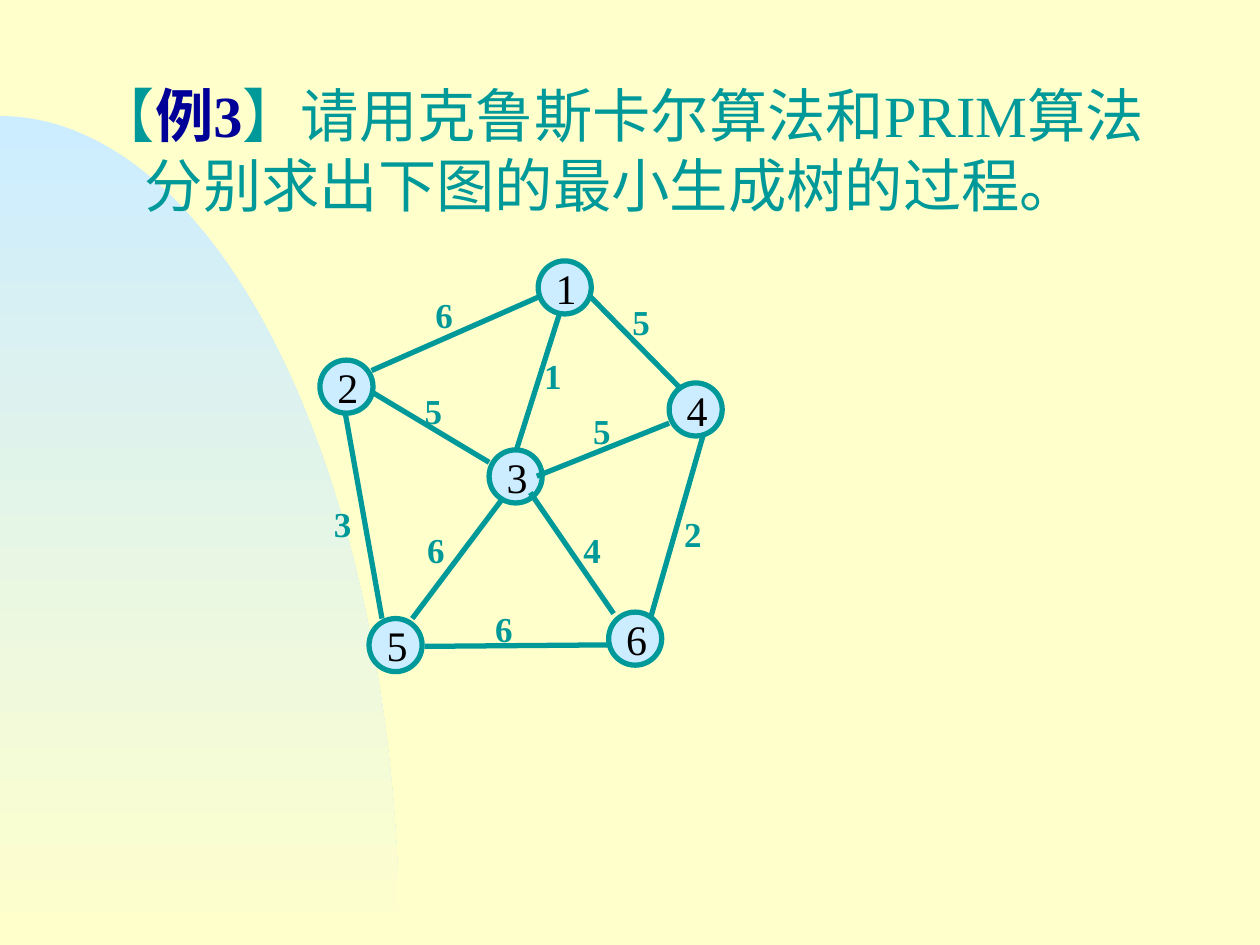
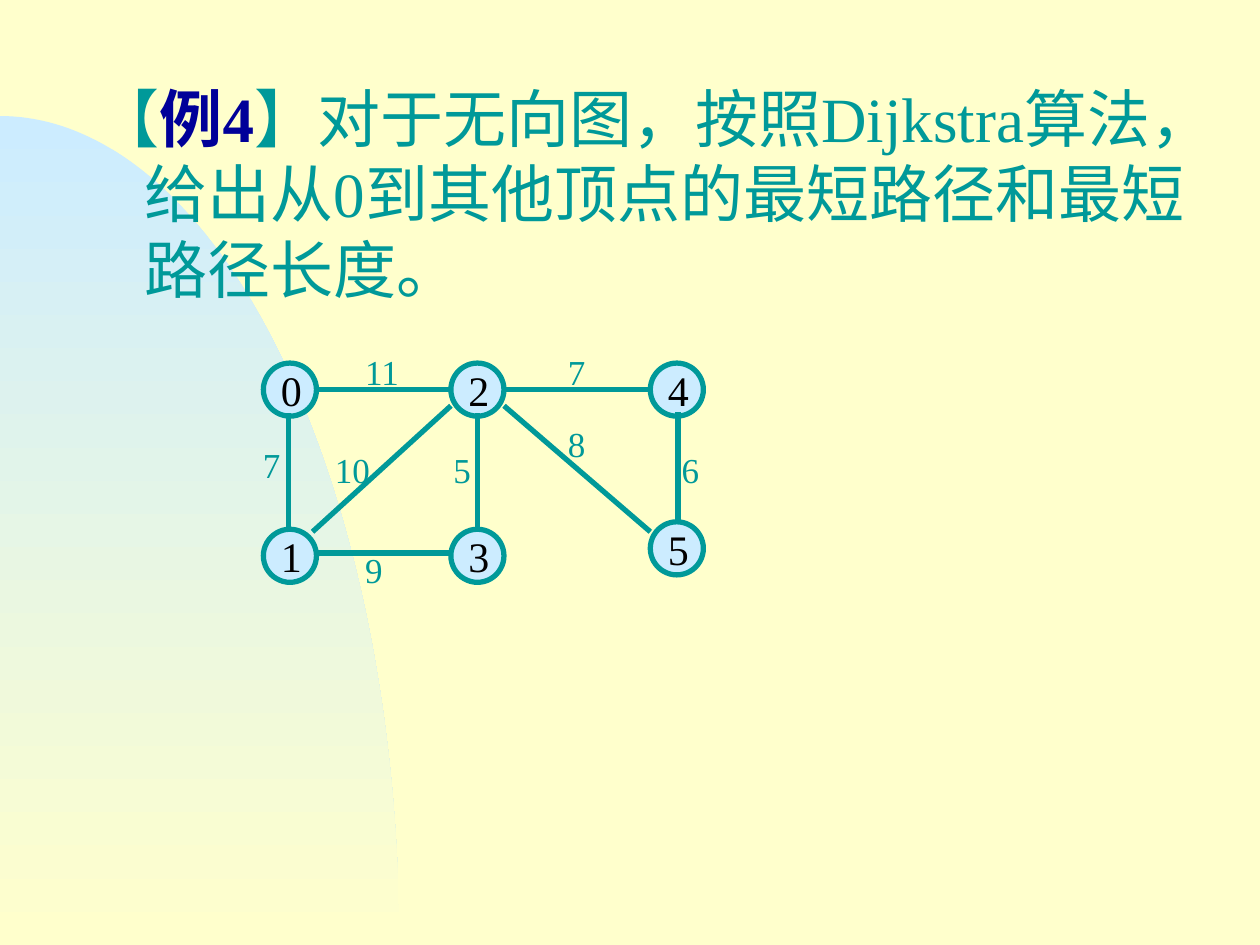
from collections import namedtuple
from math import cos, pi, sin

from lxml.etree import SubElement
from pptx import Presentation
from pptx.dml.color import RGBColor
from pptx.enum.shapes import MSO_CONNECTOR as Connector, MSO_SHAPE as Shape
from pptx.enum.text import MSO_ANCHOR as Anchor, PP_ALIGN as Align
from pptx.oxml.ns import qn
from pptx.util import Cm, Pt

CREAM, SKY, TEAL, NAVY, INK = "FFFFCC", "CCECFF", "009999", "000099", "010000"
SERIF, SANS = "Times New Roman", "Arial"
SLIDE_WIDTH, SLIDE_HEIGHT = 25.4, 19.05
NODE_SIZE = 1.07
LINE_WIDTH = 3
CURVE_WIDTH, CURVE_HEIGHT, CURVE_STEPS = 8.05, 16.71, 90

TEXT_MARGINS = {
    "margin_left": Cm(0.25), "margin_right": Cm(0.25),
    "margin_top": Cm(0.13), "margin_bottom": Cm(0.13), "word_wrap": True,
}
NODE_FRAME = {
    "margin_left": Cm(0.06), "margin_right": 0, "margin_top": 0,
    "margin_bottom": 0, "word_wrap": True, "vertical_anchor": Anchor.MIDDLE,
}

Edge = namedtuple("Edge", "start end weight label width", defaults=[None])

SPANNING_TREE_NODES = {
    "1": (10.85, 5.26), "2": (6.45, 7.26), "3": (9.86, 9.07),
    "4": (13.49, 7.72), "5": (7.44, 12.47), "6": (12.27, 12.34),
}
SPANNING_TREE_EDGES = [
    Edge((7.49, 7.47), (10.85, 5.99), "6", (8.53, 5.79)),
    Edge((7.49, 7.9), (9.86, 9.32), "5", (8.31, 7.72)),
    Edge((10.41, 9.07), (11.28, 6.32), "1", (10.72, 7.01)),
    Edge((13.69, 7.8), (11.91, 5.99), "5", (12.5, 5.92)),
    Edge((10.82, 9.6), (13.49, 8.53), "5", (11.71, 8.13)),
    Edge((14.17, 8.79), (13.11, 12.47), "2", (13.54, 10.21)),
    Edge((10.69, 9.93), (12.37, 12.37), "4", (11.51, 10.52)),
    Edge((12.27, 13), (8.56, 13.03), "6", (9.73, 12.12)),
    Edge((8.31, 12.47), (10.11, 10.08), "6", (8.36, 10.52)),
    Edge((6.96, 8.33), (7.7, 12.47), "3", (6.48, 10.01)),
]

SHORTEST_PATH_NODES = {
    "0": (5.31, 7.32), "2": (9.09, 7.32), "4": (13.11, 7.32),
    "1": (5.31, 10.67), "3": (9.09, 10.67), "5": (13.11, 10.52),
}
SHORTEST_PATH_EDGES = [
    Edge((6.35, 7.85), (9.09, 7.85), "11", (7.11, 6.93)),
    Edge((9.09, 8.18), (6.3, 10.72), "10", (6.5, 8.92)),
    Edge((5.82, 8.33), (5.82, 10.67), "7", (5.05, 8.81), 0.64),
    Edge((6.35, 11.15), (9.09, 11.15), "9", (7.11, 10.92)),
    Edge((9.63, 8.33), (9.63, 10.67), "5", (8.89, 8.92), 0.99),
    Edge((13.11, 7.85), (10.16, 7.85), "7", (11.2, 6.93)),
    Edge((10.16, 8.18), (13.11, 10.72), "8", (11.2, 8.38)),
    Edge((13.67, 8.31), (13.67, 10.52), "6", (13.49, 8.92)),
]


def color(hex_value):
    return RGBColor.from_string(hex_value)


def apply_format(target, values):
    for name, value in values.items():
        setattr(target, name, value)


def add_run(paragraph, text, size, hex_value, name=SERIF, bold=False):
    run = paragraph.add_run()
    run.text = text
    apply_format(run.font, {"size": Pt(size), "name": name, "bold": bold})
    run.font.color.rgb = color(hex_value)


def add_text_box(slide, left, top, width, height):
    frame = slide.shapes.add_textbox(
        Cm(left), Cm(top), Cm(width), Cm(height)).text_frame
    apply_format(frame, TEXT_MARGINS)
    return frame.paragraphs[0]


def add_curve(slide):
    angles = [pi / 2 * step / CURVE_STEPS for step in range(CURVE_STEPS + 1)]
    points = [(Cm(CURVE_WIDTH * sin(angle)),
               Cm(SLIDE_HEIGHT - CURVE_HEIGHT * cos(angle))) for angle in angles]
    builder = slide.shapes.build_freeform(*points[0])
    builder.add_line_segments(points[1:] + [(0, Cm(SLIDE_HEIGHT))])
    shape = builder.convert_to_shape()
    shape.shadow.inherit = False
    shape.line.fill.background()
    shape.fill.gradient()
    shape.fill.gradient_angle = 270
    for stop, hex_value in zip(shape.fill.gradient_stops, (SKY, CREAM)):
        stop.color.rgb = color(hex_value)


def add_title(slide, number, text, size, height):
    paragraph = add_text_box(slide, 1.7, 1.47, 22.43, height)
    paragraph.line_spacing = 1.0
    properties = paragraph._p.get_or_add_pPr()
    properties.set("marL", str(Cm(0.97)))
    properties.set("indent", str(-Cm(0.97)))
    add_run(paragraph, "【", size, TEAL, SANS)
    add_run(paragraph, number, size, NAVY, bold=True)
    add_run(paragraph, "】" + text, size, TEAL)


def add_node(slide, name, left, top):
    shape = slide.shapes.add_shape(
        Shape.OVAL, Cm(left), Cm(top), Cm(NODE_SIZE), Cm(NODE_SIZE))
    shape.shadow.inherit = False
    shape.fill.solid()
    shape.fill.fore_color.rgb = color(SKY)
    shape.line.color.rgb = color(TEAL)
    shape.line.width = Pt(LINE_WIDTH)
    apply_format(shape.text_frame, NODE_FRAME)
    paragraph = shape.text_frame.paragraphs[0]
    paragraph.alignment = Align.CENTER
    add_run(paragraph, name, 24, INK)


def add_edge(slide, start, end):
    connector = slide.shapes.add_connector(
        Connector.STRAIGHT, *(Cm(value) for value in start + end))
    connector.line.color.rgb = color(TEAL)
    connector.line.width = Pt(LINE_WIDTH)
    SubElement(connector._element.spPr, qn("a:effectLst"))


def add_graph(slide, nodes, edges, label_width, bold):
    for name, (left, top) in nodes.items():
        add_node(slide, name, left, top)
    for edge in edges:
        add_edge(slide, edge.start, edge.end)
    for edge in edges:
        paragraph = add_text_box(slide, *edge.label, edge.width or label_width, 1.12)
        add_run(paragraph, edge.weight, 20, TEAL, bold=bold)


def add_slide(presentation):
    slide = presentation.slides.add_slide(presentation.slide_layouts[6])
    add_curve(slide)
    return slide


def main():
    presentation = Presentation()
    presentation.slide_width = Cm(SLIDE_WIDTH)
    presentation.slide_height = Cm(SLIDE_HEIGHT)
    background = presentation.slide_master.background.fill
    background.solid()
    background.fore_color.rgb = color(CREAM)

    slide = add_slide(presentation)
    add_title(slide, "例3", "请用克鲁斯卡尔算法和PRIM算法分别求出下图的最小生成树的过程。",
              33.3, 3.25)
    add_graph(slide, SPANNING_TREE_NODES, SPANNING_TREE_EDGES, 0.97, True)

    slide = add_slide(presentation)
    add_title(slide, "例4",
              "对于无向图，按照Dijkstra算法，给出从0到其他顶点的最短路径和最短路径长度。",
              36, 5.23)
    add_graph(slide, SHORTEST_PATH_NODES, SHORTEST_PATH_EDGES, 1.3, False)

    presentation.save("out.pptx")


if __name__ == "__main__":
    main()
